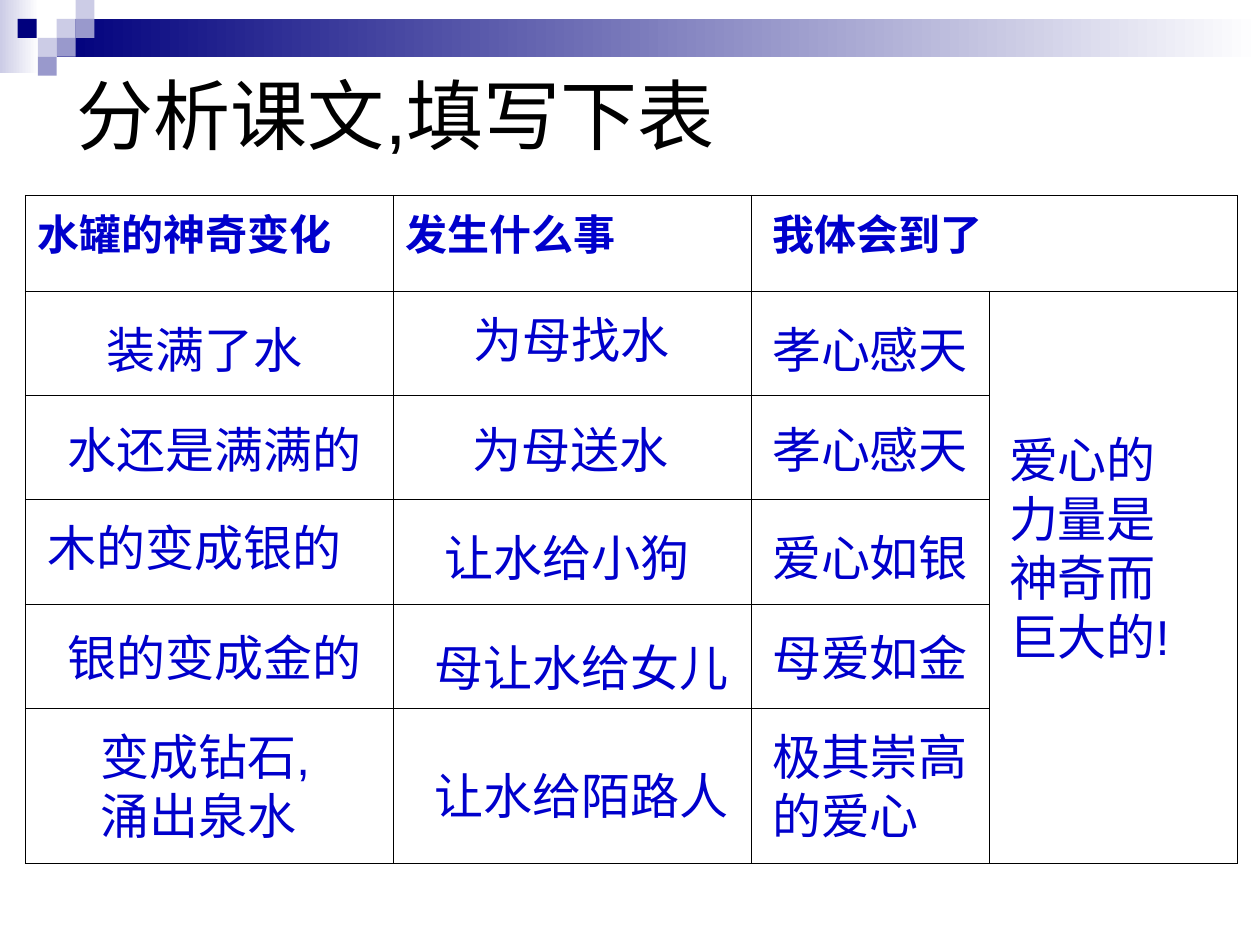
from lxml import etree
from pptx import Presentation
from pptx import util as u
from pptx.dml.color import RGBColor
from pptx.enum import shapes, text
from pptx.oxml import ns

Inches = u.Inches
COLORS = {"navy": "00007D", "lilac": "CCCCE6", "violet": "9999CC",
          "white": "FFFFFF", "black": "000000", "blue": "0000CC"}


def color(name):
    return RGBColor.from_string(COLORS[name])


def format_runs(text_frame, size, font, color_name, bold=False):
    for paragraph in text_frame.paragraphs:
        for run in paragraph.runs:
            run.font.size = u.Pt(size)
            run.font.name = font
            run.font.bold = bold
            run.font.color.rgb = color(color_name)


presentation = Presentation()
presentation.slide_width, presentation.slide_height = Inches(10), Inches(7.5)
slide = presentation.slides.add_slide(presentation.slide_layouts[5])

# Header decoration: two gradient bars fading to white, then small squares
SQUARE = 0.15
decoration = [
    (0, 0, 0.31, 0.58, ("lilac", "white")),
    (0.45, 0.15, 9.55, 0.3, ("navy", "white")),
]
for left, top, name in [(0.45, 0.15, "lilac"), (0.6, 0, "lilac"), (0.6, 0.15, "violet"),
                        (0.3, 0.3, "lilac"), (0.14, 0.15, "navy"), (0.45, 0.3, "violet"),
                        (0.3, 0.45, "violet")]:
    decoration.append((left, top, SQUARE, SQUARE, (name,)))
for left, top, width, height, names in decoration:
    shape = slide.shapes.add_shape(shapes.MSO_SHAPE.RECTANGLE, Inches(left), Inches(top),
                                   Inches(width), Inches(height))
    shape.shadow.inherit = False
    shape.line.fill.background()
    if len(names) == 1:
        shape.fill.solid()
        shape.fill.fore_color.rgb = color(names[0])
    else:
        shape.fill.gradient()
        shape.fill.gradient_angle = 0
        for stop, name in zip(shape.fill.gradient_stops, names):
            stop.color.rgb = color(name)

# Title
title = slide.shapes.title
title.left, title.top, title.width, title.height = (
    Inches(0.51), Inches(0.28), Inches(9), Inches(1.25))
title.text_frame.text = "分析课文,填写下表"
title.text_frame.vertical_anchor = text.MSO_ANCHOR.MIDDLE
title.text_frame.paragraphs[0].alignment = text.PP_ALIGN.LEFT
format_runs(title.text_frame, 44, "Arial", "black")

# Table grid
column_widths = [2.92, 2.84, 1.89, 1.97]
row_heights = [0.76, 0.83, 0.82, 0.84, 0.82, 1.23]
table = slide.shapes.add_table(len(row_heights), len(column_widths), Inches(0.2), Inches(1.55),
                               Inches(sum(column_widths)), Inches(sum(row_heights))).table
table.first_row = table.horz_banding = False
for column, width in zip(table.columns, column_widths):
    column.width = Inches(width)
for row, height in zip(table.rows, row_heights):
    row.height = Inches(height)
for cell in table.iter_cells():
    cell.fill.background()
    properties = cell._tc.get_or_add_tcPr()
    for index, side in enumerate(("lnL", "lnR", "lnT", "lnB")):
        border = etree.Element(ns.qn(f"a:{side}"), w=str(u.Pt(0.45)))
        fill = etree.SubElement(border, ns.qn("a:solidFill"))
        etree.SubElement(fill, ns.qn("a:srgbClr"), val=COLORS["black"])
        properties.insert(index, border)
table.cell(0, 2).merge(table.cell(0, 3))
table.cell(1, 3).merge(table.cell(5, 3))

# Table headings
for index, heading in enumerate(["水罐的神奇变化", "发生什么事", "我体会到了"]):
    cell = table.cell(0, index)
    cell.text_frame.text = heading
    format_runs(cell.text_frame, 24, "Times New Roman", "blue", bold=True)
table.cell(0, 2).margin_left = Inches(0.17)

# Answers laid over the grid: left, top, width, wording
LINE, PADDING = 0.47, 0.1
answers = [
    (0.75, 2.49, 1.75, "装满了水"),
    (3.66, 2.41, 1.75, "为母找水"),
    (6.03, 2.49, 1.75, "孝心感天"),
    (0.44, 3.28, 2.53, "水还是满满的"),
    (3.65, 3.28, 1.75, "为母送水"),
    (6.03, 3.28, 1.75, "孝心感天"),
    (0.28, 4.06, 2.53, "木的变成银的"),
    (3.43, 4.14, 2.14, "让水给小狗"),
    (6.03, 4.14, 1.75, "爱心如银"),
    (0.44, 4.93, 2.53, "银的变成金的"),
    (3.35, 5.01, 2.53, "母让水给女儿"),
    (6.03, 4.93, 1.75, "母爱如金"),
    (0.7, 5.72, 1.95, "变成钻石,\n涌出泉水"),
    (3.35, 6.03, 2.6, "让水给陌路人"),
    (6.03, 5.72, 1.75, "极其崇高\n的爱心"),
    (7.91, 3.36, 3.02, "爱心的\n力量是\n神奇而\n巨大的!"),
]
for left, top, width, wording in answers:
    height = PADDING + LINE * len(wording.split("\n"))
    box = slide.shapes.add_textbox(Inches(left), Inches(top), Inches(width), Inches(height))
    box.text_frame.text = wording
    box.text_frame.word_wrap = False
    format_runs(box.text_frame, 28, "Arial", "blue")
    # Unwrapped text keeps its left edge inside a box of fixed size
    box.text_frame.auto_size = text.MSO_AUTO_SIZE.NONE
    box.text_frame.word_wrap = True

presentation.save("out.pptx")
